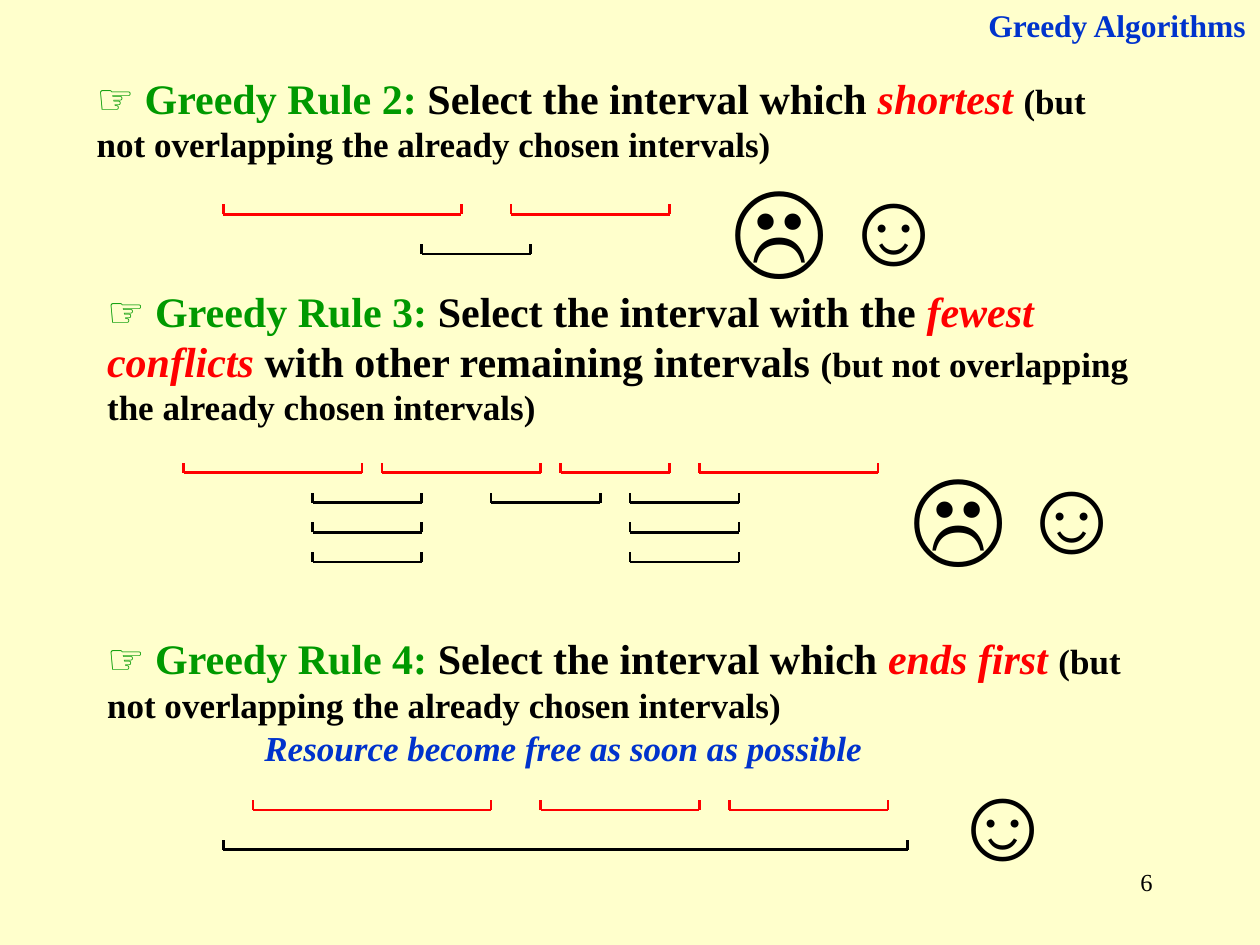
"""Build the slide on greedy rules for choosing intervals."""
from dataclasses import dataclass
from typing import NamedTuple

from lxml import etree
from pptx import Presentation
from pptx.dml.color import RGBColor
from pptx.enum.shapes import MSO_CONNECTOR
from pptx.enum.text import MSO_ANCHOR, MSO_AUTO_SIZE, PP_ALIGN
from pptx.oxml.ns import qn
from pptx.shapes.base import BaseShape
from pptx.slide import Slide
from pptx.util import Cm, Pt

STRAIGHT = MSO_CONNECTOR.STRAIGHT
TOP, MIDDLE = MSO_ANCHOR.TOP, MSO_ANCHOR.MIDDLE
LEFT, RIGHT = PP_ALIGN.LEFT, PP_ALIGN.RIGHT
NO_AUTOFIT = MSO_AUTO_SIZE.NONE

COLORS = {"paper": "FFFFCC", "black": "000000", "red": "FF0000",
          "green": "009900", "blue": "0033CC"}
SERIF, SANS = "Times New Roman", "Arial"
TICK = 0.2
FACE_SIZE = 2.79
SAD, HAPPY = "☹", "☺"


class Box(NamedTuple):
    left: float
    top: float
    width: float
    height: float


@dataclass(frozen=True)
class Phrase:
    text: str
    size: int = 24
    color: str = "black"
    font: str = SERIF
    bold: bool = True
    italic: bool = False


@dataclass(frozen=True)
class Interval:
    start: float
    end: float
    y: float
    color: str = "black"


@dataclass(frozen=True)
class Rule:
    number: int
    box: Box
    statement: tuple[Phrase, ...]


CONDITION = Phrase("(but not overlapping the already chosen intervals)", 20)

RULES = (
    Rule(2, Box(1.7, 1.32, 21.41, 2.13),
         (Phrase(" Select the interval which "),
          Phrase("shortest ", color="red", italic=True))),
    Rule(3, Box(1.91, 5.61, 21.41, 3.15),
         (Phrase(" Select the interval with the "),
          Phrase("fewest conflicts", color="red", italic=True),
          Phrase(" with other remaining intervals "))),
    Rule(4, Box(1.91, 12.62, 21.41, 2.13),
         (Phrase(" Select the interval which "),
          Phrase("ends first ", color="red", italic=True))),
)

SHORTEST_EXAMPLE = [
    Interval(4.5, 9.3, 4.32, "red"),
    Interval(10.3, 13.5, 4.32, "red"),
    Interval(8.5, 10.7, 5.12),
]
CONFLICTS_EXAMPLE = [
    Interval(start, end, 9.53, "red")
    for start, end in ((3.7, 7.3), (7.7, 10.9), (11.3, 13.5), (14.1, 17.7))
] + [
    Interval(start, start + 2.2, y)
    for y in (10.13, 10.73, 11.33) for start in (6.3, 12.7)
] + [Interval(9.9, 12.1, 10.13)]
ENDS_FIRST_EXAMPLE = [
    Interval(start, end, 16.33, "red")
    for start, end in ((5.1, 9.9), (10.9, 14.1), (14.7, 17.9))
] + [Interval(4.5, 18.3, 17.13)]

FACES = ((SAD, 14.5, 3.12), (HAPPY, 16.69, 3.12), (SAD, 18.11, 8.92),
         (HAPPY, 20.29, 8.92), (HAPPY, 18.9, 15.11))


def rgb(name: str) -> RGBColor:
    return RGBColor.from_string(COLORS[name])


def write(shape: BaseShape, phrases: tuple[Phrase, ...], align=LEFT,
          anchor=TOP, space_before: float = 0, wrap: bool = True) -> None:
    frame = shape.text_frame
    frame.word_wrap = wrap
    frame.auto_size = NO_AUTOFIT
    frame.vertical_anchor = anchor
    paragraph = frame.paragraphs[0]
    paragraph.alignment = align
    paragraph.space_before = Pt(space_before)
    for phrase in phrases:
        run = paragraph.add_run()
        run.text = phrase.text
        run.font.size = Pt(phrase.size)
        run.font.name = phrase.font
        run.font.bold = phrase.bold
        run.font.italic = phrase.italic
        run.font.color.rgb = rgb(phrase.color)


def add_text(slide: Slide, box: Box, *phrases: Phrase, **layout) -> None:
    write(slide.shapes.add_textbox(*map(Cm, box)), phrases, **layout)


def add_rule(slide: Slide, rule: Rule) -> None:
    add_text(slide, rule.box, Phrase("☞", color="green", font=SANS),
             Phrase(f" Greedy Rule {rule.number}:", color="green"),
             *rule.statement, CONDITION, anchor=MIDDLE)


def add_example(slide: Slide, intervals: list[Interval]) -> None:
    group = slide.shapes.add_group_shape()
    for interval in intervals:
        start, end, y = interval.start, interval.end, interval.y
        for ends in ((start, y, end, y), (start, y, start, y - TICK),
                     (end, y, end, y - TICK)):
            edge = group.shapes.add_connector(STRAIGHT, *map(Cm, ends))
            edge.line.color.rgb = rgb(interval.color)
            edge.line.width = Pt(1.5)
            etree.SubElement(edge._element.spPr, qn("a:effectLst"))


def add_face(slide: Slide, face: str, left: float, top: float) -> None:
    add_text(slide, Box(left, top, FACE_SIZE, FACE_SIZE),
             Phrase(face, 60, font=SANS, bold=False), space_before=37.5)


def main() -> None:
    deck = Presentation()
    deck.slide_width, deck.slide_height = Cm(25.4), Cm(19.05)
    slide = deck.slides.add_slide(deck.slide_layouts[5])
    slide.background.fill.solid()
    slide.background.fill.fore_color.rgb = rgb("paper")

    title = slide.shapes.title
    title.left, title.top, title.width, title.height = map(
        Cm, Box(19.1, 0, 6.27, 1.02))
    write(title, (Phrase("Greedy Algorithms", 18, "blue"),),
          align=RIGHT, space_before=11.2)

    for rule in RULES:
        add_rule(slide, rule)
    for example in (SHORTEST_EXAMPLE, CONFLICTS_EXAMPLE, ENDS_FIRST_EXAMPLE):
        add_example(slide, example)
    for face, left, top in FACES:
        add_face(slide, face, left, top)

    add_text(slide, Box(5.08, 14.53, 12.55, 1.12),
             Phrase("Resource become free as soon as possible", 20, "blue",
                    italic=True), wrap=False)
    add_text(slide, Box(18.21, 17.35, 5.28, 1.27),
             Phrase("6", 14, bold=False), align=RIGHT)
    deck.save("out.pptx")


if __name__ == "__main__":
    main()
